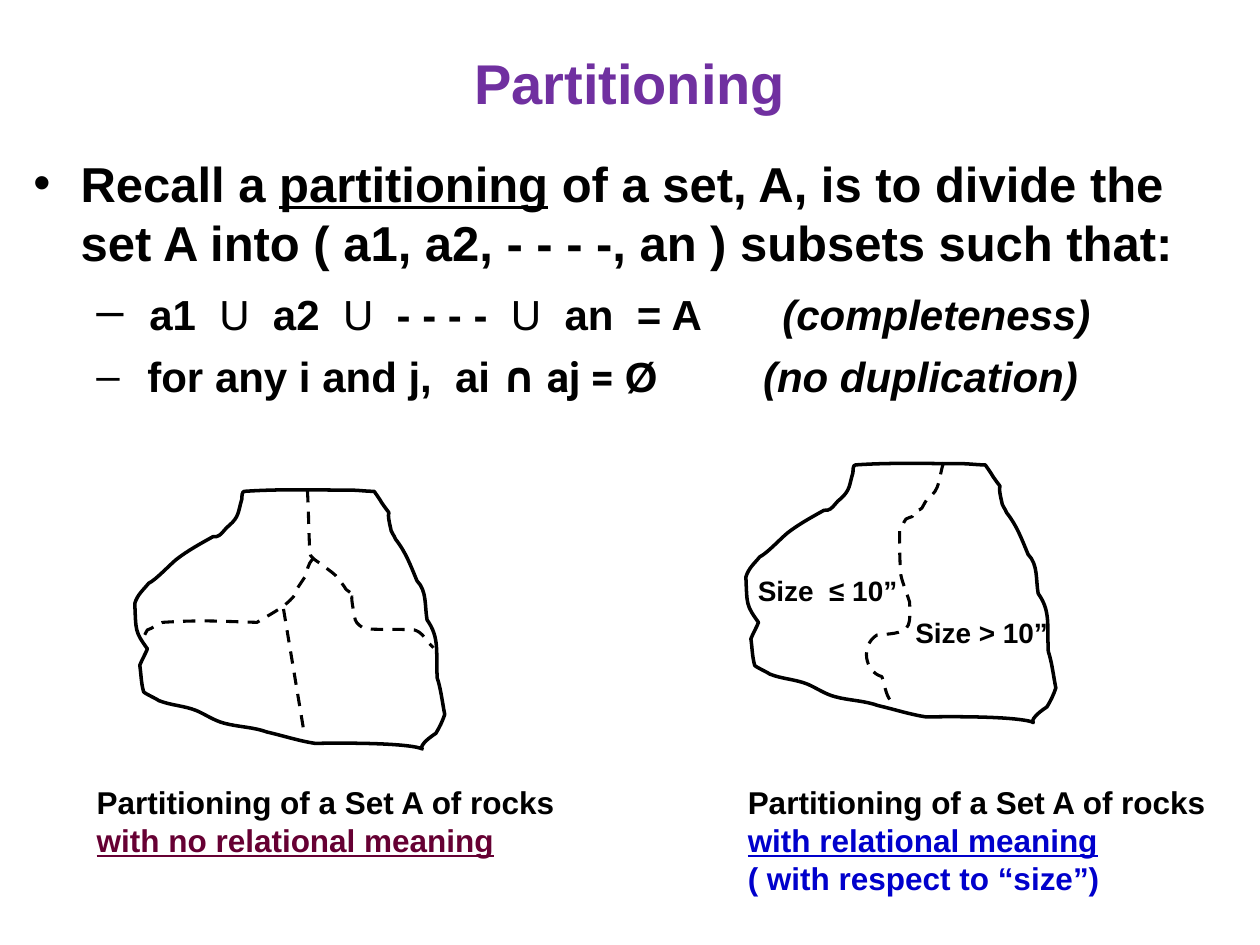
from lxml import etree
from pptx import Presentation
from pptx import util as u
from pptx.dml.color import RGBColor
from pptx.enum import dml, shapes, text
from pptx.oxml import ns

BLACK, WHITE, PURPLE, MAROON, BLUE = "000000", "FFFFFF", "7030A0", "660033", "0000CC"
GRID = 0.72

ROCK = """278 389 250 389 222 388 194 390 192 390 192 394 192 396 189 406 190 410 182 417
179 419 177 423 174 425 173 426 171 426 169 426 160 431 149 437 140 444 134 449 124 460 118 463
114 468 109 472 107 479 108 501 107 501 117 515 115 520 113 523 111 528 112 535 112 542 114 549
114 550 125 555 126 556 136 560 146 560 156 564 163 567 170 572 178 574 189 577 201 577 212 581
225 584 237 588 250 590 384 588 310 606 346 582 349 577 351 573 353 567 351 557 350 547 347 538
346 517 349 506 339 492 337 481 339 469 331 461 326 449 322 438 314 428 313 425 310 422 310 419
305 398 314 415 303 399 302 397 297 390 297 390 291 390 284 389 278 389"""
RIGHT_CRACK = """244 389 245 406 245 422 246 439 246 443 256 448 257 449 261 453 266 455 269 460
278 471 271 465 279 471 284 484 275 458 282 492 283 495 287 498 290 499 303 500 316 499 329 500
335 502 336 505 340 510 341 511 344 514 344 514"""
LEFT_CRACK = """249 443 243 449 245 452 242 458 240 461 238 464 236 467 235 468 236 470 235 471
227 482 215 487 204 494 170 493 161 492 129 494 125 495 121 499 117 500 115 503 114 507 111 510"""
SIZE_CRACK = """749 367 745 378 747 389 736 396 730 405 734 403 726 406 726 407 725 408 724 410
722 411 720 411 719 412 717 415 714 421 714 421 714 432 714 444 715 456 716 462 720 471 722 478
722 484 723 490 721 496 718 504 702 503 696 504 683 512 686 533 700 537 702 542 703 552 707 556"""


def colour(value):
    return RGBColor.from_string(value)


def curve_points(curve, offset):
    numbers = [int(word) for word in curve.split()]
    return [(u.Pt((x + offset[0]) * GRID), u.Pt((y + offset[1]) * GRID))
            for x, y in zip(numbers[::2], numbers[1::2])]


def bend(shape):
    segments = list(shape._element.iter(ns.qn("a:lnTo")))
    for first in range(0, len(segments), 3):
        cubic = etree.Element(ns.qn("a:cubicBezTo"))
        segments[first].addprevious(cubic)
        for segment in segments[first:first + 3]:
            cubic.append(segment[0])
            segment.getparent().remove(segment)


class SlideBuilder:
    font = {"name": "Arial", "size": u.Pt(18), "bold": True}

    def __init__(self, presentation):
        self.slide = presentation.slides.add_slide(presentation.slide_layouts[6])

    def apply(self, target, values):
        for name, value in values.items():
            setattr(target, name, value)

    def textbox(self, box, paragraphs, **frame_format):
        shape = self.slide.shapes.add_textbox(*map(u.Pt, box))
        frame = shape.text_frame
        self.apply(frame, frame_format)
        for index, (paragraph_format, runs) in enumerate(paragraphs):
            paragraph = frame.paragraphs[0] if index == 0 else frame.add_paragraph()
            self.apply(paragraph, paragraph_format)
            for words, run_format in runs:
                run = paragraph.add_run()
                run.text = words
                values = {**self.font, **run_format}
                run.font.color.rgb = colour(values.pop("colour", BLACK))
                self.apply(run.font, values)
        return frame

    def label(self, box, *lines):
        self.textbox(box, [({}, [line]) for line in lines], word_wrap=False,
                     auto_size=text.MSO_AUTO_SIZE.SHAPE_TO_FIT_TEXT)

    def bullet(self, paragraph, character, left, hanging, tab=None):
        properties = paragraph._p.get_or_add_pPr()
        properties.set("marL", str(u.Pt(left)))
        properties.set("indent", str(-u.Pt(hanging)))
        bullet_colour = etree.SubElement(properties, ns.qn("a:buClr"))
        etree.SubElement(bullet_colour, ns.qn("a:srgbClr"), val=BLACK)
        etree.SubElement(properties, ns.qn("a:buFont"), typeface="Arial")
        etree.SubElement(properties, ns.qn("a:buChar"), char=character)
        if tab:
            stops = etree.SubElement(properties, ns.qn("a:tabLst"))
            etree.SubElement(stops, ns.qn("a:tab"), pos=str(u.Pt(tab)), algn="l")

    def stroke(self, shape, width, dashed):
        shape.line.color.rgb = colour(BLACK)
        shape.line.width = u.Pt(width)
        if dashed:
            shape.line.dash_style = dml.MSO_LINE.DASH

    def outline(self, curve, offset=(0, 0), closed=False):
        start, *others = curve_points(curve, offset)
        builder = self.slide.shapes.build_freeform(*start)
        builder.add_line_segments(others, close=False)
        shape = builder.convert_to_shape()
        bend(shape)
        shape.shadow.inherit = False
        if closed:
            for path in shape._element.iter(ns.qn("a:path")):
                etree.SubElement(path, ns.qn("a:close"))
            shape.fill.solid()
            shape.fill.fore_color.rgb = colour(WHITE)
        else:
            shape.fill.background()
        self.stroke(shape, 2 if closed else 1.75, not closed)

    def dashed_line(self, *ends):
        connector = self.slide.shapes.add_connector(shapes.MSO_CONNECTOR.STRAIGHT, *map(u.Pt, ends))
        etree.SubElement(connector._element.spPr, ns.qn("a:effectLst"))
        self.stroke(connector, 1.75, True)


def main():
    presentation = Presentation()
    presentation.slide_width, presentation.slide_height = u.Pt(720), u.Pt(540)
    builder = SlideBuilder(presentation)

    builder.textbox((36, 21.6, 648, 50.4),
                    [({"alignment": text.PP_ALIGN.CENTER},
                      [("Partitioning", {"size": u.Pt(32), "colour": PURPLE})])],
                    word_wrap=True, vertical_anchor=text.MSO_ANCHOR.MIDDLE)

    large, medium = {"size": u.Pt(28)}, {"size": u.Pt(24)}
    union = ("U", {**medium, "bold": False})
    remark = {**medium, "italic": True}
    item = {"level": 1, "space_before": u.Pt(6)}
    body = builder.textbox((12, 84, 684, 168), [
        ({"space_before": u.Pt(7)},
         [("Recall a ", large), ("partitioning", {**large, "underline": True}),
          (" of a set, A, is to divide the set A into ( a1, a2, - - - -, an ) subsets such that:", large)]),
        (item,
         [(" ", large), ("a1  ", medium), union, ("  a2  ", medium), union,
          ("  - - - -  ", medium), union, ("  an  = A\t", medium), ("(completeness)", remark)]),
        (item,
         [(" for any i and j,  ai ", medium), ("∩ aj = ", {**medium, "name": "Roboto"}),
          ("Ø\t", medium), ("(no duplication)", remark)]),
    ], word_wrap=True)
    bullets = (("•", 27, 27), ("–", 58.5, 22.5, 428), ("–", 58.5, 22.5, 417))
    for paragraph, bullet in zip(body.paragraphs, bullets):
        builder.bullet(paragraph, *bullet)

    builder.outline(ROCK, closed=True)
    builder.outline(RIGHT_CRACK)
    builder.outline(LEFT_CRACK)
    builder.dashed_line(162, 348, 174, 420)
    builder.outline(ROCK, offset=(485, -21), closed=True)
    builder.outline(SIZE_CRACK)

    caption = ("Partitioning of a Set A of rocks", {})
    builder.label((48.2, 444, 277.2, 50.4), caption,
                  ("with no relational meaning", {"colour": MAROON, "underline": True}))
    builder.label((420.2, 444, 277.2, 72), caption,
                  ("with relational meaning", {"colour": BLUE, "underline": True}),
                  ("( with respect to “size”)", {"colour": BLUE}))
    small = {"size": u.Pt(16)}
    builder.label((516, 348, 92, 26.64), ("Size > 10”", small))
    builder.label((426, 324, 95, 26.64), ("Size  ≤ 10”", small))

    presentation.save("out.pptx")


if __name__ == "__main__":
    main()
